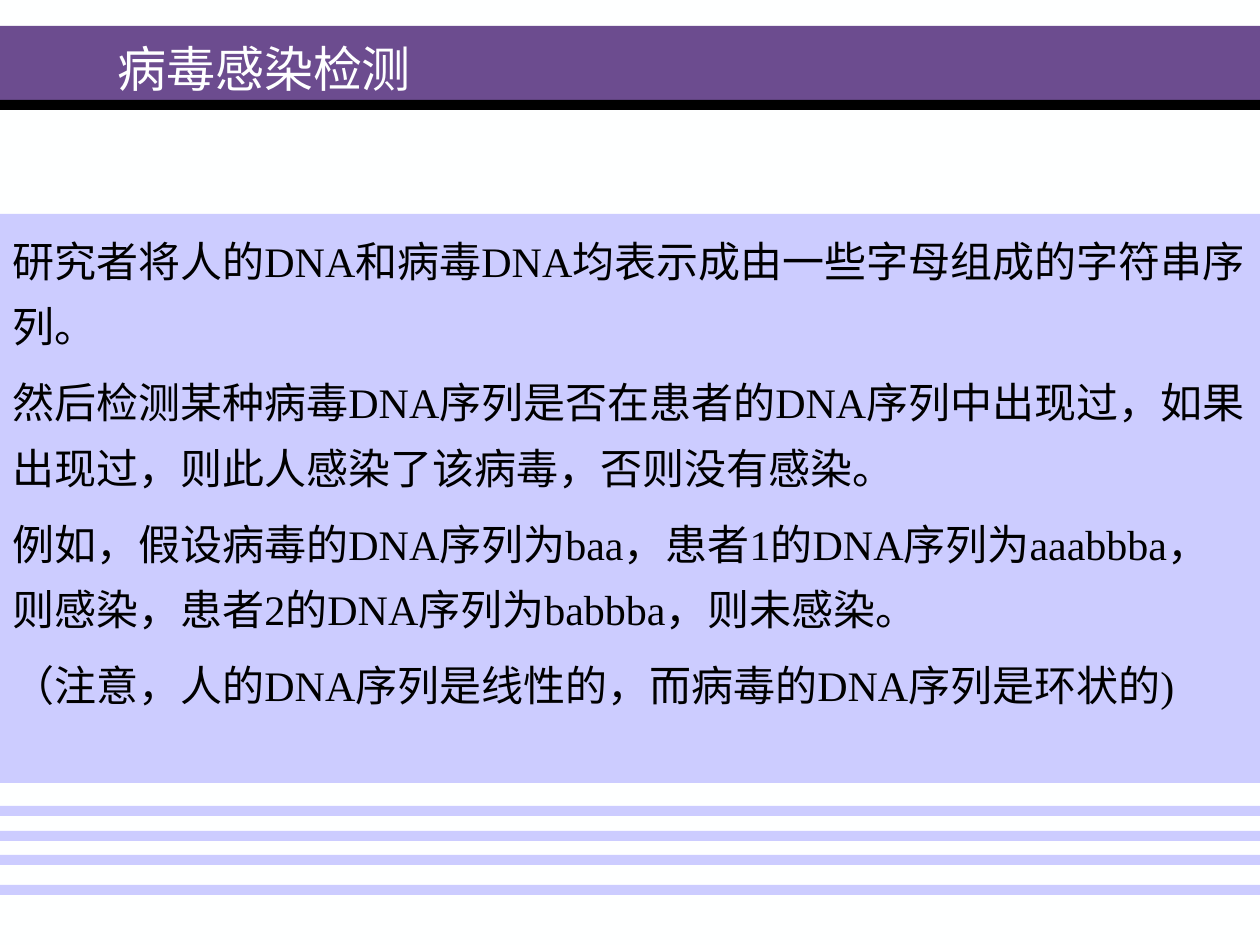
import pptx
import pptx.dml.color
import pptx.enum.shapes
import pptx.enum.text
import pptx.util

RGB = pptx.dml.color.RGBColor
ANCHOR = pptx.enum.text.MSO_ANCHOR
ALIGN = pptx.enum.text.PP_ALIGN
RECT = pptx.enum.shapes.MSO_SHAPE.RECTANGLE

WHITE = RGB(0xFE, 0xFF, 0xFF)
BLACK = RGB(0x00, 0x00, 0x00)
PURPLE = RGB(0x6C, 0x4C, 0x8F)
LILAC = RGB(0xCC, 0xCC, 0xFF)

SCALE = 914400 // 126  # EMU per px
WIDE, HIGH = 1260, 945

TITLE = "病毒感染检测"
BODY = [
    "研究者将人的DNA和病毒DNA均表示成由一些字母组成的字符串序列。",
    "然后检测某种病毒DNA序列是否在患者的DNA序列中出现过，如果出现过，则此人感染了该病毒，否则没有感染。",
    "例如，假设病毒的DNA序列为baa，患者1的DNA序列为aaabbba，则感染，患者2的DNA序列为babbba，则未感染。",
    "（注意，人的DNA序列是线性的，而病毒的DNA序列是环状的)",
]


class Page:
    face = "Times New Roman"

    def __init__(self, deck):
        self.slide = deck.slides.add_slide(deck.slide_layouts[6])
        fill = self.slide.background.fill
        fill.solid()
        fill.fore_color.rgb = WHITE

    def bar(self, x, y, w, h, color, owner=None):
        shapes = (owner or self.slide).shapes
        box = shapes.add_shape(RECT, *(n * SCALE for n in (x, y, w, h)))
        box.shadow.inherit = False
        box.fill.solid()
        box.fill.fore_color.rgb = color
        box.line.fill.background()
        return box

    def label(self, x, y, w, h):
        return self.slide.shapes.add_textbox(*(n * SCALE for n in (x, y, w, h)))

    def words(self, box, lines, size, color, anchor, pitch=None, gap=0):
        frame = box.text_frame
        frame.word_wrap = True
        frame.vertical_anchor = anchor
        frame.text = "\n".join(lines)
        for i, para in enumerate(frame.paragraphs):
            para.alignment = ALIGN.LEFT
            para.line_spacing = pitch
            para.space_before = pptx.util.Pt(gap if i else 0)
            para.font.name = self.face
            para.font.size = pptx.util.Pt(size)
            para.font.color.rgb = color


def main():
    deck = pptx.Presentation()
    deck.slide_width = WIDE * SCALE
    deck.slide_height = HIGH * SCALE
    page = Page(deck)

    # Title band
    page.bar(0, 26, WIDE, 74, PURPLE)
    page.bar(0, 100, WIDE, 10, BLACK)
    title = page.label(105, 26, 680, 84)
    page.words(title, [TITLE], 28, WHITE, ANCHOR.MIDDLE)

    # Body panel
    panel = page.bar(0, 214, WIDE, 569, LILAC)
    page.words(panel, BODY, 24, BLACK, ANCHOR.TOP, pitch=1.3, gap=6)

    # Footer stripes
    group = page.slide.shapes.add_group_shape()
    for top in (806, 831, 855, 885):
        page.bar(-2, top, WIDE + 2, 10, LILAC, group)

    deck.save("out.pptx")


if __name__ == "__main__":
    main()
